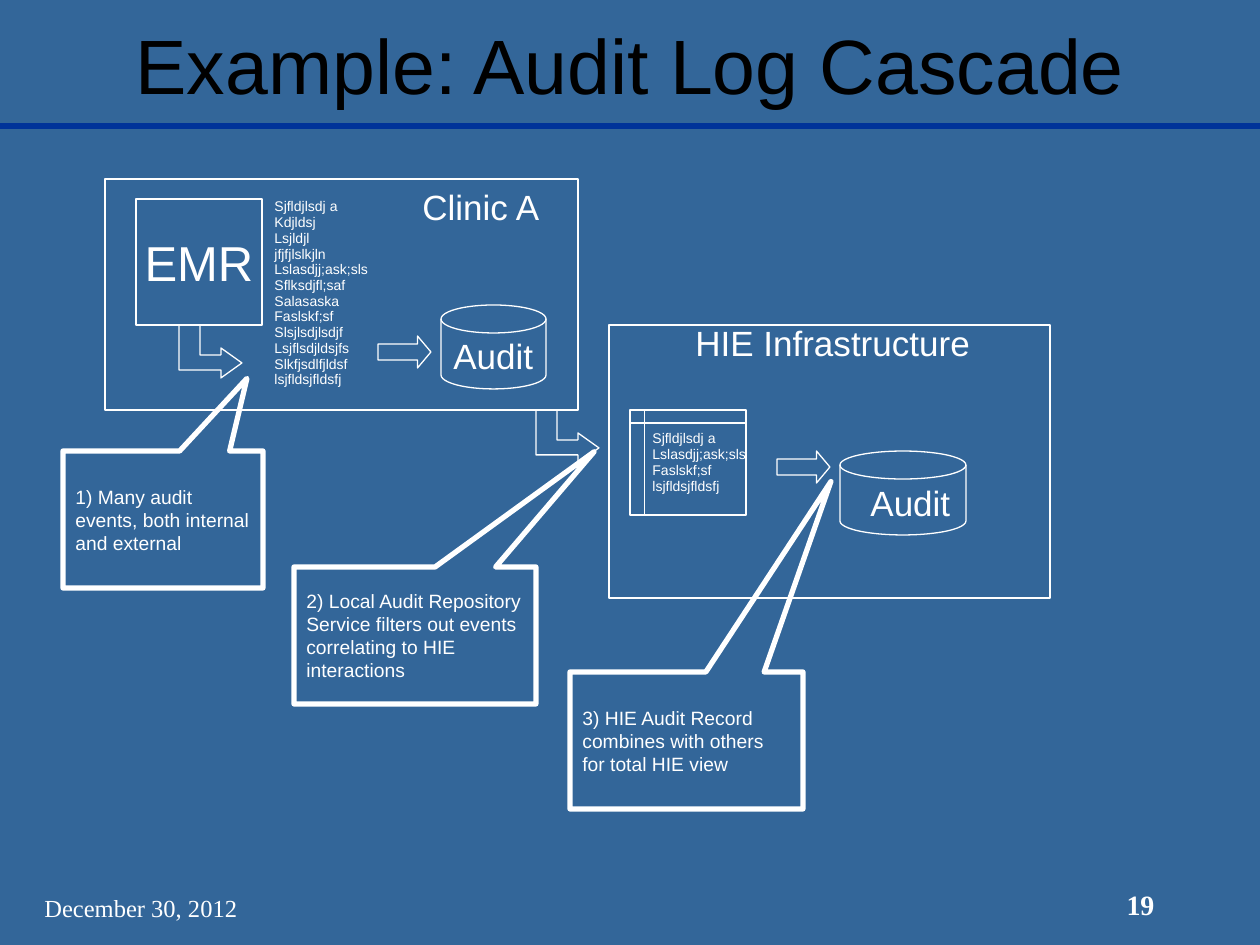
from pptx import Presentation
from pptx.dml.color import RGBColor
from pptx.enum.shapes import MSO_CONNECTOR, MSO_SHAPE as Shape
from pptx.enum.text import MSO_ANCHOR as Anchor, PP_ALIGN as Align
from pptx.oxml.ns import qn
from pptx.util import Emu, Pt
from lxml.etree import SubElement

EMU_PER_PX = 914400 / 126
WHITE = "FFFFFF"


def px(*lengths):
    return [Emu(round(length * EMU_PER_PX)) for length in lengths]


def color(hex_string):
    return RGBColor.from_string(hex_string)


presentation = Presentation()
presentation.slide_width, presentation.slide_height = px(1260, 945)
slide = presentation.slides.add_slide(presentation.slide_layouts[5])
slide.background.fill.solid()
slide.background.fill.fore_color.rgb = color("336699")
shapes = slide.shapes

# Title and the rule under it
rule = shapes.add_connector(MSO_CONNECTOR.STRAIGHT, *px(0, 126, 1260, 126))
rule.line.color.rgb = color("003399")
rule.line.width = Pt(3)
SubElement(rule._element.spPr, qn("a:effectLst"))

title = shapes.title
title.left, title.top, title.width, title.height = px(95, 5, 1071, 118)
title.text_frame.text = "Example: Audit Log Cascade"
title.text_frame.vertical_anchor = Anchor.MIDDLE
title_paragraph = title.text_frame.paragraphs[0]
title_paragraph.alignment = Align.CENTER
title_font = title_paragraph.runs[0].font
title_font.name, title_font.size = "Arial", Pt(44)
title_font.color.rgb = color("000000")

# Outlined shapes: kind, box, line width, adjustments, text, text size
outlined = [
    (Shape.RECTANGLE, (105, 179, 473, 231), 0.75, (), "", 0),
    (Shape.RECTANGLE, (609, 325, 441, 273), 0.75, (), "", 0),
    (Shape.RECTANGLE, (136, 199, 126, 126), 0.75, (), "EMR", 28),
    (Shape.FLOWCHART_MAGNETIC_DISK, (441, 305, 105, 84), 0.75, (), "", 0),
    (Shape.FLOWCHART_MAGNETIC_DISK, (840, 451, 126, 84), 0.75, (), "", 0),
    (Shape.FLOWCHART_INTERNAL_STORAGE, (630, 410, 116, 105), 0.75, (), "", 0),
    (Shape.RIGHT_ARROW, (378, 336, 53, 32), 0.75, (0.5, 0.42), "", 0),
    (Shape.RIGHT_ARROW, (777, 451, 53, 32), 0.75, (0.5, 0.42), "", 0),
    (Shape.RECTANGULAR_CALLOUT, (63, 451, 200, 137), 3, (0.42, -1.03),
     "1) Many audit events, both internal and external", 11),
    (Shape.RECTANGULAR_CALLOUT, (294, 567, 242, 137), 3, (0.74, -1.34),
     "2) Local Audit Repository Service filters out events "
     "correlating to HIE interactions", 11),
    (Shape.RECTANGULAR_CALLOUT, (570, 672, 233, 137), 3, (0.62, -1.89),
     "3) HIE Audit Record combines with others for total HIE view", 11),
]
for kind, box, line_width, adjustments, text, size in outlined:
    shape = shapes.add_shape(kind, *px(*box))
    shape.shadow.inherit = False
    shape.fill.background()
    shape.line.color.rgb = color(WHITE)
    shape.line.width = Pt(line_width)
    for index, adjustment in enumerate(adjustments):
        shape.adjustments[index] = adjustment
    if text:
        is_callout = kind == Shape.RECTANGULAR_CALLOUT
        shape.text_frame.text = text
        shape.text_frame.word_wrap = is_callout
        shape.text_frame.vertical_anchor = Anchor.MIDDLE
        paragraph = shape.text_frame.paragraphs[0]
        paragraph.alignment = Align.LEFT if is_callout else Align.CENTER
        font = paragraph.runs[0].font
        font.name, font.size = "Arial", Pt(size)
        font.color.rgb = color(WHITE)

# Bent arrows leaving the EMR and the clinic
BENT_ARROW = [(0, 0), (21, 0), (21, 30), (42, 30), (42, 23),
              (63, 38), (42, 53), (42, 45), (0, 45)]
for left, top in [(179, 325), (536, 410)]:
    points = [px(left + x, top + y) for x, y in BENT_ARROW]
    builder = shapes.build_freeform(*points[0])
    builder.add_line_segments(points[1:], close=True)
    bent_arrow = builder.convert_to_shape()
    bent_arrow.shadow.inherit = False
    bent_arrow.fill.background()
    bent_arrow.line.color.rgb = color(WHITE)
    bent_arrow.line.width = Pt(0.75)

# Text boxes: box, text, font, size, bold, alignment, anchor
clinic_log = """Sjfldjlsdj a
Kdjldsj
Lsjldjl
jfjfjlslkjln
Lslasdjj;ask;sls
Sflksdjfl;saf
Salasaska
Faslskf;sf
Slsjlsdjlsdjf
Lsjflsdjldsjfs
Slkfjsdlfjldsf
lsjfldsjfldsfj"""
hie_log = """Sjfldjlsdj a
Lslasdjj;ask;sls
Faslskf;sf
lsjfldsjfldsfj"""
LOG_SIZE = 8
labels = [
    ((262, 199, 221, 209), clinic_log, "Arial", LOG_SIZE, False, Align.LEFT, Anchor.TOP),
    ((640, 431, 221, 72), hie_log, "Arial", LOG_SIZE, False, Align.LEFT, Anchor.TOP),
    ((410, 179, 144, 55), "Clinic A", "Arial", 20, False, Align.LEFT, Anchor.TOP),
    ((683, 315, 302, 55), "HIE Infrastructure", "Arial", 20, False, Align.LEFT, Anchor.TOP),
    ((441, 328, 126, 55), "Audit", "Arial", 20, False, Align.LEFT, Anchor.TOP),
    ((858, 475, 106, 55), "Audit", "Arial", 20, False, Align.LEFT, Anchor.TOP),
    ((32, 876, 262, 63), "December 30, 2012", "Times New Roman", 14, False,
     Align.LEFT, Anchor.MIDDLE),
    ((1051, 873, 179, 63), "19", "Times New Roman", 16, True, Align.CENTER, Anchor.MIDDLE),
]
for box, text, font_name, size, bold, alignment, anchor in labels:
    text_frame = shapes.add_textbox(*px(*box)).text_frame
    text_frame.text = text
    text_frame.word_wrap = True
    text_frame.vertical_anchor = anchor
    for paragraph in text_frame.paragraphs:
        paragraph.alignment = alignment
        if size == LOG_SIZE:
            paragraph.line_spacing = 0.5
            paragraph.space_before = Pt(4.2)
        font = paragraph.runs[0].font
        font.name, font.size, font.bold = font_name, Pt(size), bold
        font.color.rgb = color(WHITE)

presentation.save("out.pptx")
